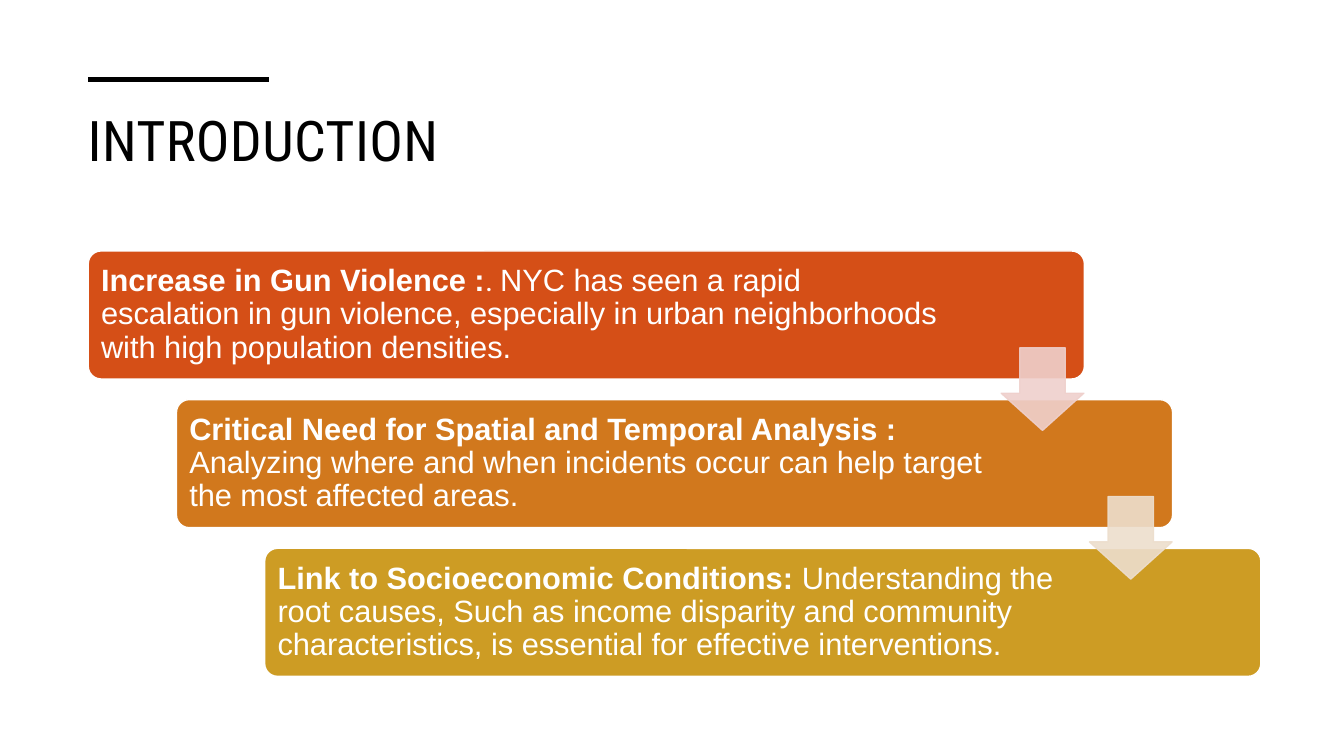
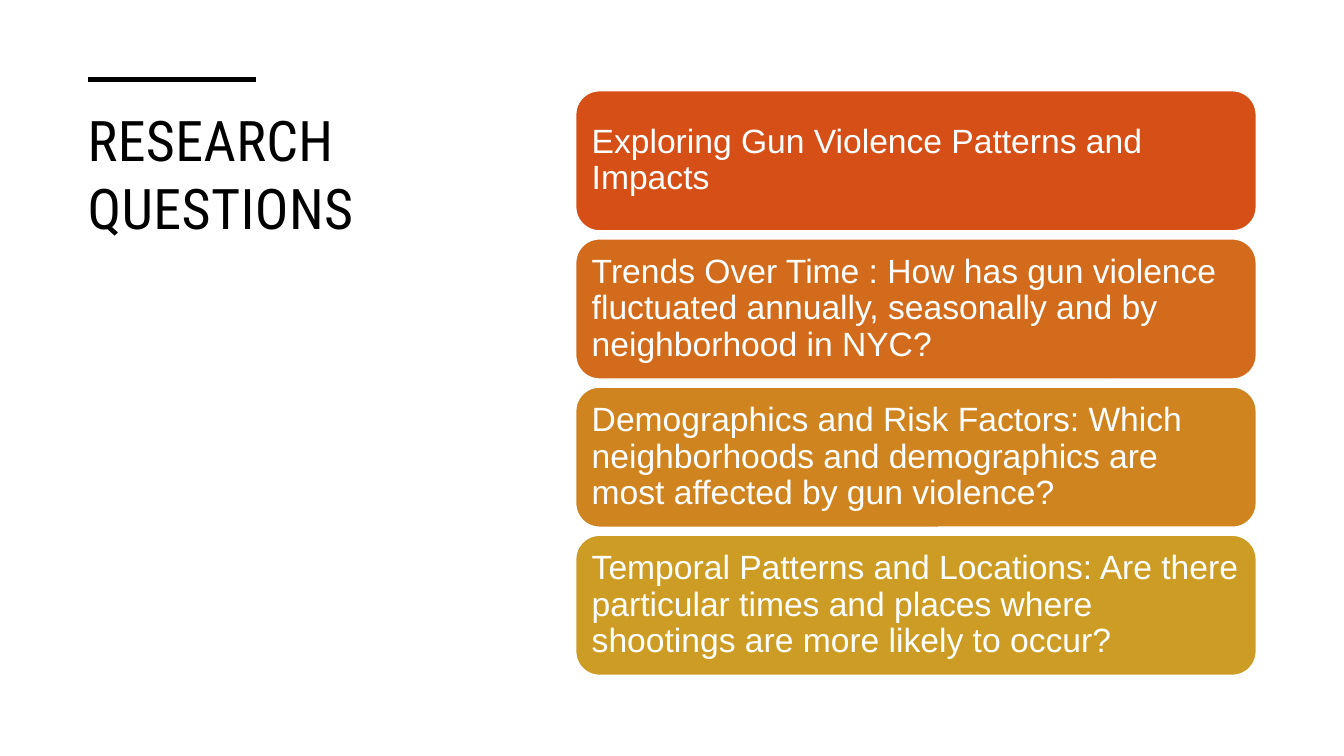
"""Build two slides on gun violence in NYC: an introduction and the research questions."""
from dataclasses import dataclass

import lxml.etree
import pptx
import pptx.dml.color
import pptx.enum.shapes
import pptx.enum.text
import pptx.oxml.ns
import pptx.slide
import pptx.text.text
import pptx.util

CELL = 0.125
BLACK, WHITE = "000000", "FFFFFF"
BODY_FONT, TITLE_FONT = "Arial", "Roboto Condensed"
SHAPES = pptx.enum.shapes.MSO_SHAPE


@dataclass(frozen=True)
class Area:
    column: float
    row: float
    columns: float
    rows: float

    def lengths(self) -> tuple:
        return tuple(map(cells, (self.column, self.row, self.columns, self.rows)))

    def shifted(self, columns: float, rows: float) -> "Area":
        return Area(self.column + columns, self.row + rows, self.columns, self.rows)


@dataclass(frozen=True)
class Span:
    text: str
    bold: bool = False
    font: str = BODY_FONT


@dataclass(frozen=True)
class Card:
    fill: str
    spans: tuple[Span, ...]
    right_inset: float = 0.1


REASONS = (
    Card("D54F17", (
        Span("Increase in Gun Violence :", bold=True),
        Span(". ", font=TITLE_FONT),
        Span("NYC has seen a rapid escalation in gun violence, especially in urban "
             "neighborhoods with high population densities."),
    ), 1.38),
    Card("D1781D", (
        Span("Critical Need for Spatial and Temporal Analysis :", bold=True),
        Span(" Analyzing where and when incidents occur can help target the most "
             "affected areas."),
    ), 1.79),
    Card("CD9C24", (
        Span("Link to Socioeconomic Conditions:", bold=True),
        Span(" Understanding the root causes, Such as income disparity and community "
             "characteristics, is essential for effective interventions."),
    ), 1.79),
)
ARROW_COLORS = ("EFD0CC", "EDDECD")
QUESTIONS = (
    Card("D54F17", (Span("Exploring Gun Violence Patterns and Impacts"),)),
    Card("D26B1B", (Span("Trends Over Time : How has gun violence fluctuated annually, "
                         "seasonally and by neighborhood in NYC?"),)),
    Card("D08420", (Span("Demographics and Risk Factors: Which neighborhoods and "
                         "demographics are most affected by gun violence?"),)),
    Card("CD9C24", (Span("Temporal Patterns and Locations: Are there particular times "
                         "and places where shootings are more likely to occur?"),)),
)


def cells(count: float) -> int:
    return pptx.util.Inches(count * CELL)


def paint(color_format, color: str, opacity: int = 100) -> None:
    """Make a fill solid, with the given colour and opacity in percent."""
    color_format.solid()
    color_format.fore_color.rgb = pptx.dml.color.RGBColor.from_string(color)
    if opacity < 100:
        element = color_format.fore_color._xFill.find(pptx.oxml.ns.qn("a:srgbClr"))
        alpha = lxml.etree.SubElement(element, pptx.oxml.ns.qn("a:alpha"))
        alpha.set("val", str(opacity * 1000))


def write(para: pptx.text.text._Paragraph, text: str, *, size: float, font: str = BODY_FONT,
          color: str = BLACK, bold: bool = False, tracking: float = 0) -> None:
    """Add one formatted span to a paragraph."""
    span = para.add_run()
    span.text = text
    span.font.name = font
    span.font.size = pptx.util.Pt(size)
    span.font.bold = bold
    paint(span.font.fill, color)
    if tracking:
        span._r.get_or_add_rPr().set("spc", str(round(tracking * 100)))


def add_block(page: pptx.slide.Slide, preset: SHAPES, area: Area, fill: str, line: str,
              adjustments: tuple[float, ...], opacity: int = 100):
    """Add a filled preset shape with a thin outline."""
    box = page.shapes.add_shape(preset, *area.lengths())
    box.shadow.inherit = False
    for index, value in enumerate(adjustments):
        box.adjustments[index] = value
    paint(box.fill, fill, opacity)
    paint(box.line.fill, line, opacity)
    box.line.width = pptx.util.Pt(1)
    return box


def add_card(page: pptx.slide.Slide, card: Card, area: Area, size: float,
             corner: float) -> None:
    """Add a rounded card holding left-aligned text."""
    box = add_block(page, SHAPES.ROUNDED_RECTANGLE, area, card.fill, WHITE, (corner,))
    frame = box.text_frame
    frame.word_wrap = True
    frame.vertical_anchor = pptx.enum.text.MSO_ANCHOR.MIDDLE
    frame.margin_left = frame.margin_top = frame.margin_bottom = pptx.util.Inches(0.09)
    frame.margin_right = pptx.util.Inches(card.right_inset)
    para = frame.paragraphs[0]
    para.alignment = pptx.enum.text.PP_ALIGN.LEFT
    para.line_spacing = 0.9
    for span in card.spans:
        write(para, span.text, size=size, font=span.font, color=WHITE, bold=span.bold)


def add_page(deck, title: str, area: Area, rule_end: float) -> pptx.slide.Slide:
    """Add a page with the shared rule and title style."""
    page = deck.slides.add_slide(deck.slide_layouts[5])
    rule = page.shapes.add_connector(pptx.enum.shapes.MSO_CONNECTOR.STRAIGHT,
                                     cells(7), cells(6.32), cells(rule_end), cells(6.32))
    paint(rule.line.fill, BLACK)
    rule.line.width = pptx.util.Pt(3.5)
    lxml.etree.SubElement(rule._element.spPr, pptx.oxml.ns.qn("a:effectLst"))
    box = page.shapes.title
    box.left, box.top, box.width, box.height = area.lengths()
    frame = box.text_frame
    frame.word_wrap = True
    frame.auto_size = pptx.enum.text.MSO_AUTO_SIZE.NONE
    frame.vertical_anchor = pptx.enum.text.MSO_ANCHOR.TOP
    para = frame.paragraphs[0]
    para.alignment = pptx.enum.text.PP_ALIGN.LEFT
    write(para, title, size=40, font=TITLE_FONT, tracking=0.3)
    return page


def add_introduction(deck) -> None:
    """Add the staircase of reasons joined by arrows."""
    page = add_page(deck, "INTRODUCTION", Area(6.16, 8, 94.48, 9.2), 21.36)
    first_card = Area(7, 19.92, 79.04, 10.16)
    first_arrow = Area(79.44, 27.6, 6.56, 6.56)
    for step, card in enumerate(REASONS):
        add_card(page, card, first_card.shifted(7 * step, 11.8 * step), 22, 0.1)
    for step, color in enumerate(ARROW_COLORS):
        add_block(page, SHAPES.DOWN_ARROW, first_arrow.shifted(7 * step, 11.8 * step),
                  color, color, (0.55, 0.45), opacity=90)


def add_questions(deck) -> None:
    """Add the stack of research questions."""
    page = add_page(deck, "RESEARCH QUESTIONS", Area(6.16, 8, 34.24, 34.8), 20.32)
    first_card = Area(45.68, 7.2, 54, 11.12)
    for step, card in enumerate(QUESTIONS):
        add_card(page, card, first_card.shifted(0, 11.76 * step), 24, 0.17)


def main() -> None:
    """Build and save the deck."""
    deck = pptx.Presentation()
    deck.slide_width = pptx.util.Inches(13.33)
    deck.slide_height = pptx.util.Inches(7.5)
    add_introduction(deck)
    add_questions(deck)
    deck.save("out.pptx")


if __name__ == "__main__":
    main()
